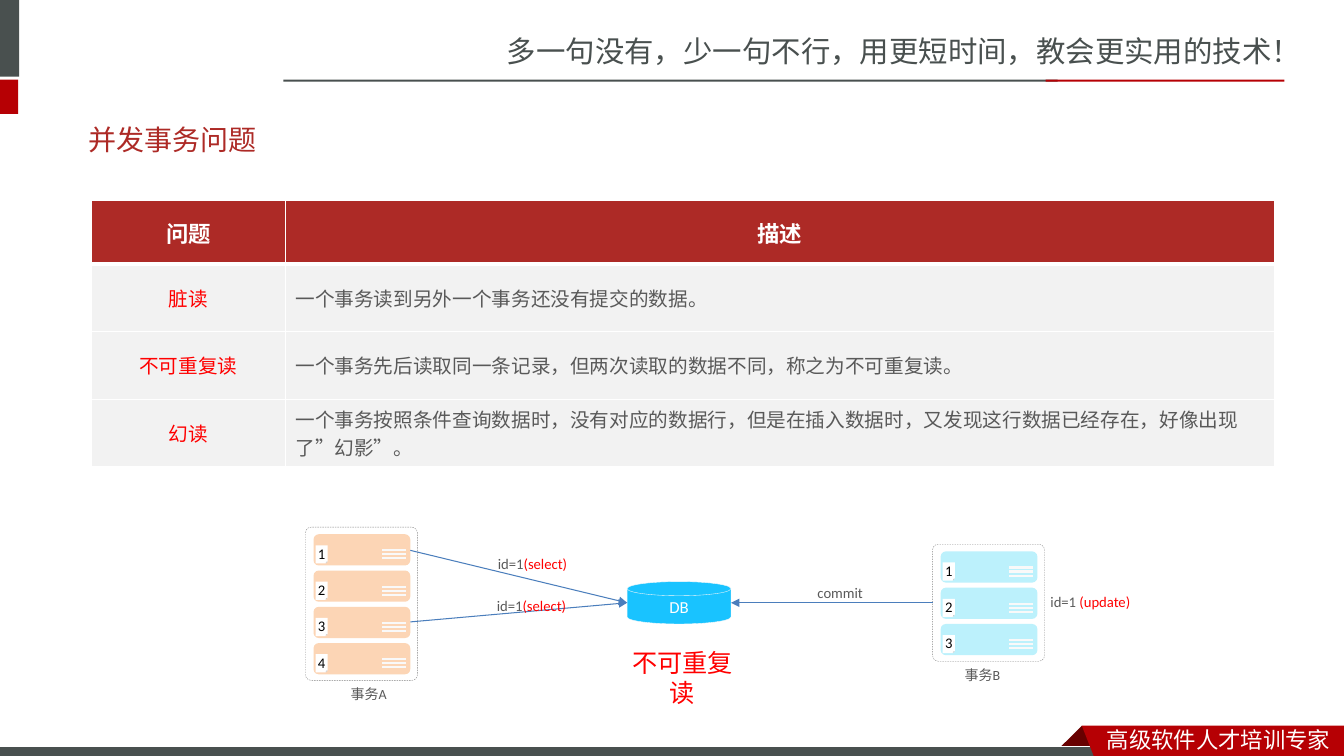
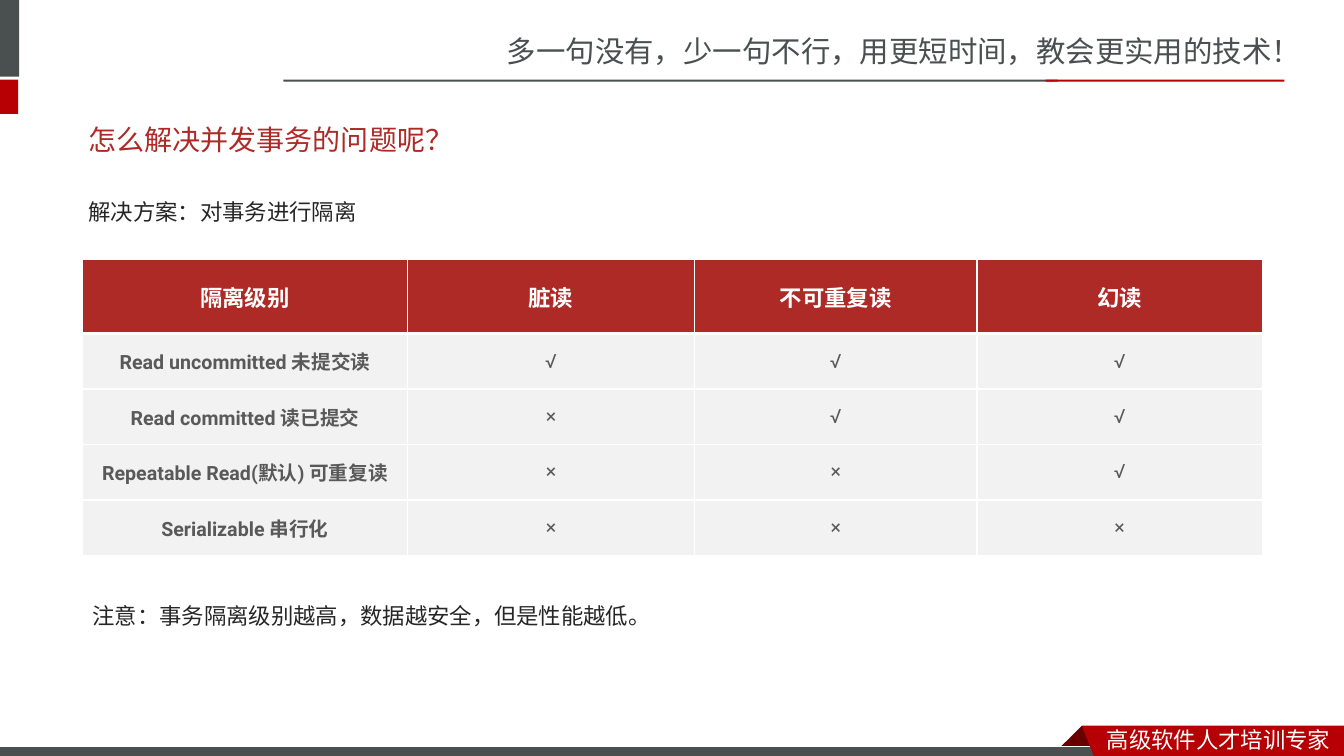
from lxml import etree
from pptx import Presentation
from pptx import util as u
from pptx.dml.color import RGBColor
from pptx.enum import dml, shapes, text
from pptx.oxml import ns

PX = 9144
KIND = shapes.MSO_SHAPE
LEFT, MID = text.PP_ALIGN.LEFT, text.PP_ALIGN.CENTER
TOP, CORE = text.MSO_ANCHOR.TOP, text.MSO_ANCHOR.MIDDLE

WHITE = RGBColor(0xFF, 0xFF, 0xFF)
BLACK = RGBColor(0, 0, 0)
SLATE = RGBColor(0x49, 0x50, 0x4F)
CRIMSON = RGBColor(0xB6, 0x00, 0x04)
MAROON = RGBColor(0x68, 0x00, 0x00)
BRICK = RGBColor(0xAD, 0x2A, 0x26)
RED = RGBColor(0xFF, 0x00, 0x00)
INK = RGBColor(0x26, 0x26, 0x26)
GRAY = RGBColor(0x59, 0x59, 0x59)
PALE = RGBColor(0xF2, 0xF2, 0xF2)
SNOW = RGBColor(0xF9, 0xF9, 0xF9)
DASH = RGBColor(0x80, 0x80, 0x80)
PEACH = RGBColor(0xFC, 0xD5, 0xB5)
AQUA = RGBColor(0xBC, 0xF1, 0xFC)
SKY = RGBColor(0x19, 0xC3, 0xFF)
BLUE = RGBColor(0x4B, 0x7E, 0xBC)

HAN, BOLD_HAN = "Noto Sans CJK SC", "Noto Sans CJK JP"
LATIN, ROBOTO = "Calibri", "Roboto"


def px(*vals):
    return [u.Emu(v * PX) for v in vals]


def write(frame, words, size=10.5, font=LATIN, color=GRAY, bold=False,
          align=LEFT, lead=None, before=None):
    para = frame.paragraphs[0]
    para.alignment = align
    if lead:
        para.line_spacing = lead
    if before:
        para.space_before = u.Pt(before)
    runs = [(words, color)] if isinstance(words, str) else words
    for part, tint in runs:
        run = para.add_run()
        run.text = part
        face = run.font
        face.size, face.name, face.bold = u.Pt(size), font, bold
        face.color.rgb = tint
        east = etree.SubElement(run._r.get_or_add_rPr(), ns.qn("a:ea"))
        east.set("typeface", BOLD_HAN if font == BOLD_HAN else HAN)


def label(slide, box, words, anchor=TOP, wrap=True, **look):
    frame = slide.shapes.add_textbox(*px(*box)).text_frame
    frame.word_wrap = wrap
    frame.vertical_anchor = anchor
    write(frame, words, **look)


def paint(shape, fill=None, line=None, width=0.75):
    shape.shadow.inherit = False
    if fill is None:
        shape.fill.background()
    else:
        shape.fill.solid()
        shape.fill.fore_color.rgb = fill
    if line is None:
        shape.line.fill.background()
    else:
        shape.line.color.rgb = line
        shape.line.width = u.Pt(width)
    return shape


def block(slide, kind, box, **look):
    return paint(slide.shapes.add_shape(kind, *px(*box)), **look)


def outline(slide, points, fill):
    pen = slide.shapes.build_freeform(*points[0], scale=PX)
    pen.add_line_segments(points[1:], close=True)
    paint(pen.convert_to_shape(), fill)


def stroke(slide, start, end, color, width, arrow=False):
    line = slide.shapes.add_connector(
        shapes.MSO_CONNECTOR.STRAIGHT, *px(*start, *end))
    line.line.color.rgb = color
    line.line.width = u.Pt(width)
    if arrow:
        tip = etree.SubElement(line.get_or_add_ln(), ns.qn("a:tailEnd"))
        tip.set("type", "triangle")
    etree.SubElement(line._element.spPr, ns.qn("a:effectLst"))


def edge(cell, top, bottom):
    props = cell._tc.get_or_add_tcPr()
    for side, width in (("L", 1), ("R", 1), ("T", top), ("B", bottom)):
        line = etree.SubElement(props, ns.qn("a:ln" + side))
        line.set("w", str(int(u.Pt(width))))
        fill = etree.SubElement(line, ns.qn("a:solidFill"))
        etree.SubElement(fill, ns.qn("a:srgbClr")).set("val", str(WHITE))


def grid(slide, left, top, cols, rows, data, looks):
    box = px(left, top, sum(cols), sum(rows))
    table = slide.shapes.add_table(len(rows), len(cols), *box).table
    table.horz_banding = False
    for col, wide in zip(table.columns, cols):
        col.width = u.Emu(wide * PX)
    for row, tall in zip(table.rows, rows):
        row.height = u.Emu(tall * PX)
    head = dict(size=16, font=BOLD_HAN, color=WHITE, bold=True, align=MID)
    for r, line in enumerate(data):
        for c, words in enumerate(line):
            cell = table.cell(r, c)
            edge(cell, 3 if r == 1 else 1, 3 if r == 0 else 1)
            cell.fill.solid()
            cell.fill.fore_color.rgb = PALE if r else BRICK
            cell.vertical_anchor = CORE
            look = dict(size=14, font=ROBOTO, **looks[c]) if r else head
            write(cell.text_frame, words, **look)


def base(deck, title):
    slide = deck.slides.add_slide(deck.slide_layouts[6])
    label(slide, (493, 28, 840, 47),
          "多一句没有，少一句不行，用更短时间，教会更实用的技术！",
          size=21, font=HAN, color=SLATE)
    for box, fill in (((-6, 0, 25, 76), SLATE), ((-6, 79, 24, 34), CRIMSON),
                      ((281, 79, 768, 2), SLATE),
                      ((1037, 79, 237, 2), CRIMSON)):
        block(slide, KIND.RECTANGLE, box, fill=fill)
    outline(slide, [(1073, 720), (1095, 742), (1094, 743),
                    (1052, 743), (1051, 742)], MAROON)
    block(slide, KIND.RECTANGLE, (-1, 741, 1100, 12), fill=SLATE, line=WHITE)
    outline(slide, [(1073, 720), (1333, 720), (1333, 754), (1086, 753)],
            CRIMSON)
    label(slide, (1088, 715, 245, 37), "高级软件人才培训专家",
          size=16, font=HAN, color=WHITE)
    label(slide, (78, 110, 1170, 57), title, anchor=CORE,
          size=20, color=BRICK)
    return slide


def stack(slide, left, top, count, fill, name, shift, wide):
    tall = 36 * count + 8
    for i in range(count):
        y = top + 7 + 36 * i
        block(slide, KIND.ROUNDED_RECTANGLE, (left + 8, y, 96, 31), fill=fill)
        for j in range(3):
            rule = y + 16 + 4 * j
            stroke(slide, (left + 76, rule), (left + 100, rule), SNOW, 1.5)
        badge = block(slide, KIND.FOLDED_CORNER, (left + 10, y + 11, 12, 18),
                      fill=WHITE)
        frame = badge.text_frame
        frame.margin_left = frame.margin_right = 0
        frame.margin_top = frame.margin_bottom = 0
        frame.word_wrap = False
        frame.vertical_anchor = CORE
        write(frame, str(i + 1), color=BLACK, align=MID)
    rim = block(slide, KIND.ROUNDED_RECTANGLE, (left, top, 111, tall),
                line=DASH, width=0.25)
    rim.adjustments[0] = 0.05
    rim.line.dash_style = dml.MSO_LINE.DASH
    label(slide, (left + shift, top + tall, wide, 28), name, size=10)


def flow(slide, left, top):
    stack(slide, left, top, 4, PEACH, "事务A", 35, 57)
    stack(slide, left + 622, top + 17, 3, AQUA, "事务B", 22, 67)
    disk = block(slide, KIND.FLOWCHART_MAGNETIC_DISK,
                 (left + 319, top + 54, 103, 42), fill=SKY, line=SNOW,
                 width=0.25)
    disk.text_frame.vertical_anchor = CORE
    write(disk.text_frame, "DB", size=12, color=WHITE, align=MID)
    mid = top + 75
    for start, end in (((left + 104, top + 23), (left + 319, mid)),
                       ((left + 104, top + 94), (left + 319, mid)),
                       ((left + 622, mid), (left + 422, mid))):
        stroke(slide, start, end, BLUE, 0.75, arrow=True)
    pick = [("id=1", GRAY), ("(select)", RED)]
    for x, y, wide, words in (
            (181, 22, 90, pick), (180, 64, 90, pick), (498, 51, 66, "commit"),
            (729, 60, 101, [("id=1 ", GRAY), ("(update)", RED)])):
        label(slide, (left + x, top + y, wide, 28), words, wrap=False)
    label(slide, (left + 304, top + 114, 140, 40), "不可重复读",
          size=18, font=ROBOTO, color=RED, align=MID)


def issues(deck):
    slide = base(deck, "并发事务问题")
    data = [
        ("问题", "描述"),
        ("脏读", "一个事务读到另外一个事务还没有提交的数据。"),
        ("不可重复读",
         "一个事务先后读取同一条记录，但两次读取的数据不同，称之为不可重复读。"),
        ("幻读", "一个事务按照条件查询数据时，没有对应的数据行，但是在插入数据时，"
         "又发现这行数据已经存在，好像出现了”幻影”。"),
    ]
    grid(slide, 91, 199, [192, 981], [63] + [67] * 3, data,
         [dict(color=RED, align=MID), dict(color=GRAY)])
    flow(slide, 303, 523)


def levels(deck):
    slide = base(deck, "怎么解决并发事务的问题呢？")
    body = dict(size=16, font=BOLD_HAN, color=INK, lead=1.5, before=3.2)
    label(slide, (78, 178, 1170, 57), "解决方案：对事务进行隔离", **body)
    data = [
        ("隔离级别", "脏读", "不可重复读", "幻读"),
        ("Read uncommitted 未提交读", "√", "√", "√"),
        ("Read committed 读已提交", "×", "√", "√"),
        ("Repeatable Read(默认) 可重复读", "×", "×", "√"),
        ("Serializable 串行化", "×", "×", "×"),
    ]
    grid(slide, 82, 257, [322, 285, 280, 283], [74] + [55] * 4, data,
         [dict(bold=True, align=MID)] + [dict(align=MID)] * 3)
    label(slide, (82, 579, 1170, 57),
          "注意：事务隔离级别越高，数据越安全，但是性能越低。", **body)


def main():
    deck = Presentation()
    deck.slide_width, deck.slide_height = px(1333, 750)
    issues(deck)
    levels(deck)
    deck.save("out.pptx")


if __name__ == "__main__":
    main()
